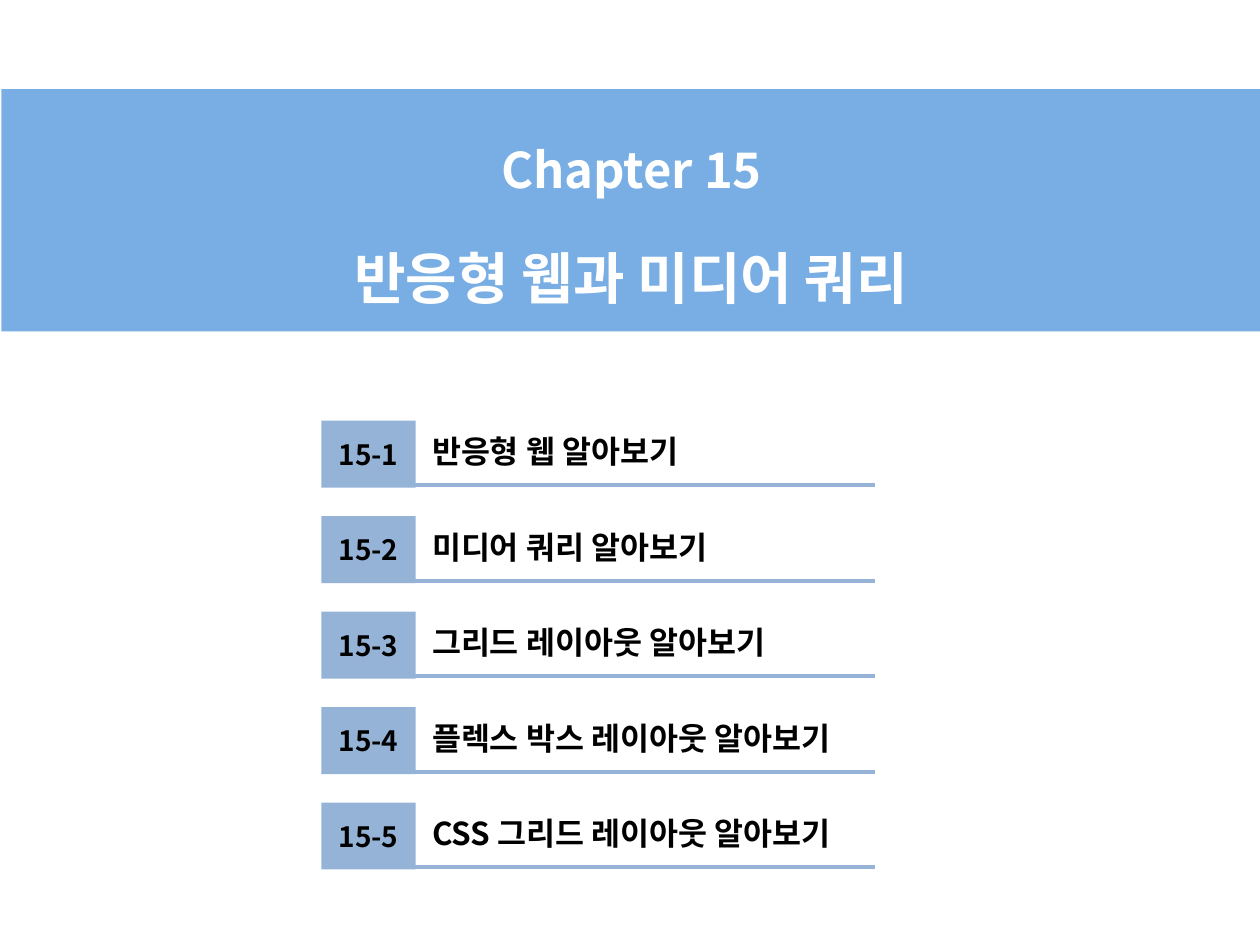
from lxml.etree import SubElement
from pptx import Presentation
from pptx.dml.color import RGBColor
from pptx.enum.shapes import MSO_CONNECTOR, MSO_SHAPE
from pptx.enum.text import MSO_ANCHOR, PP_ALIGN
from pptx.oxml.ns import qn
from pptx.util import Cm, Pt

CHAPTER = "Chapter 15"
TITLE = "반응형 웹과 미디어 쿼리"
SECTIONS = [
    ("15-1", "반응형 웹 알아보기"),
    ("15-2", "미디어 쿼리 알아보기"),
    ("15-3", "그리드 레이아웃 알아보기"),
    ("15-4", "플렉스 박스 레이아웃 알아보기"),
    ("15-5", "CSS 그리드 레이아웃 알아보기"),
]

FONT = "Noto Sans CJK KR"
BLACK = RGBColor(0x00, 0x00, 0x00)
WHITE = RGBColor(0xFF, 0xFF, 0xFF)
BAND_BLUE = RGBColor(0x00, 0x66, 0xCC)
SOFT_BLUE = RGBColor(0x95, 0xB3, 0xD7)

FIRST_TOP, LAST_TOP = 8.48, 16.18
PITCH = (LAST_TOP - FIRST_TOP) / (len(SECTIONS) - 1)


def write(paragraph, text, size, color=BLACK, align=PP_ALIGN.LEFT, spacing=None, before=None):
    paragraph.alignment = align
    paragraph.line_spacing = spacing
    if before is not None:
        paragraph.space_before = Pt(before)
    run = paragraph.add_run()
    run.text = text
    run.font.name = FONT
    run.font.size = Pt(size)
    run.font.bold = True
    run.font.color.rgb = color
    SubElement(run.font._element, qn("a:ea"), typeface=FONT)


def add_block(shapes, left, top, width, height, color):
    block = shapes.add_shape(MSO_SHAPE.RECTANGLE, Cm(left), Cm(top), Cm(width), Cm(height))
    block.shadow.inherit = False
    block.fill.solid()
    block.fill.fore_color.rgb = color
    block.line.fill.background()
    block.text_frame.word_wrap = True
    block.text_frame.vertical_anchor = MSO_ANCHOR.MIDDLE
    return block


def add_section(slide, number, heading, top):
    section = slide.shapes.add_group_shape().shapes
    tab = add_block(section, 6.48, top, 1.9, 1.35, SOFT_BLUE)
    write(tab.text_frame.paragraphs[0], number, 16, align=PP_ALIGN.CENTER)

    label = section.add_textbox(Cm(8.46), Cm(top + 0.11), Cm(11.05), Cm(1.02))
    label.text_frame.word_wrap = True
    write(label.text_frame.paragraphs[0], heading, 18)

    rule_y = Cm(top + 1.3)
    rule = section.add_connector(MSO_CONNECTOR.STRAIGHT, Cm(8.36), rule_y, Cm(17.63), rule_y)
    rule.line.color.rgb = SOFT_BLUE
    rule.line.width = Pt(2.25)
    SubElement(rule._element.spPr, qn("a:effectLst"))


def add_title_band(slide):
    band = add_block(slide.shapes, 0.03, 1.8, 25.4, 4.88, BAND_BLUE)
    fill_color = band._element.spPr.find(qn("a:solidFill"))[0]
    SubElement(fill_color, qn("a:alpha"), val="53000")
    heading_format = dict(color=WHITE, align=PP_ALIGN.CENTER, spacing=1.5)
    write(band.text_frame.paragraphs[0], CHAPTER, 28, **heading_format)
    write(band.text_frame.add_paragraph(), TITLE, 32, before=6.4, **heading_format)


def main():
    deck = Presentation()
    deck.slide_width, deck.slide_height = Cm(25.4), Cm(19.05)
    slide = deck.slides.add_slide(deck.slide_layouts[6])
    for index, (number, heading) in enumerate(SECTIONS):
        add_section(slide, number, heading, FIRST_TOP + index * PITCH)
    add_title_band(slide)
    deck.save("out.pptx")


if __name__ == "__main__":
    main()
